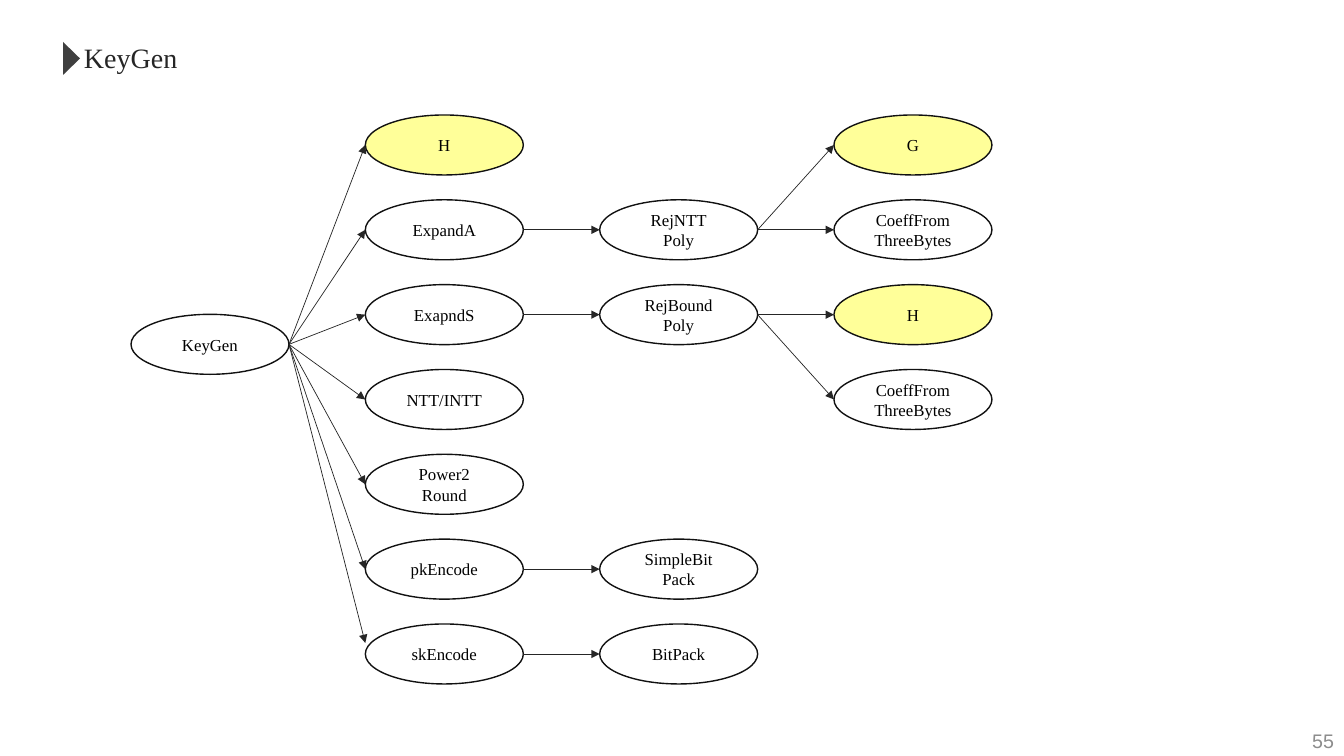
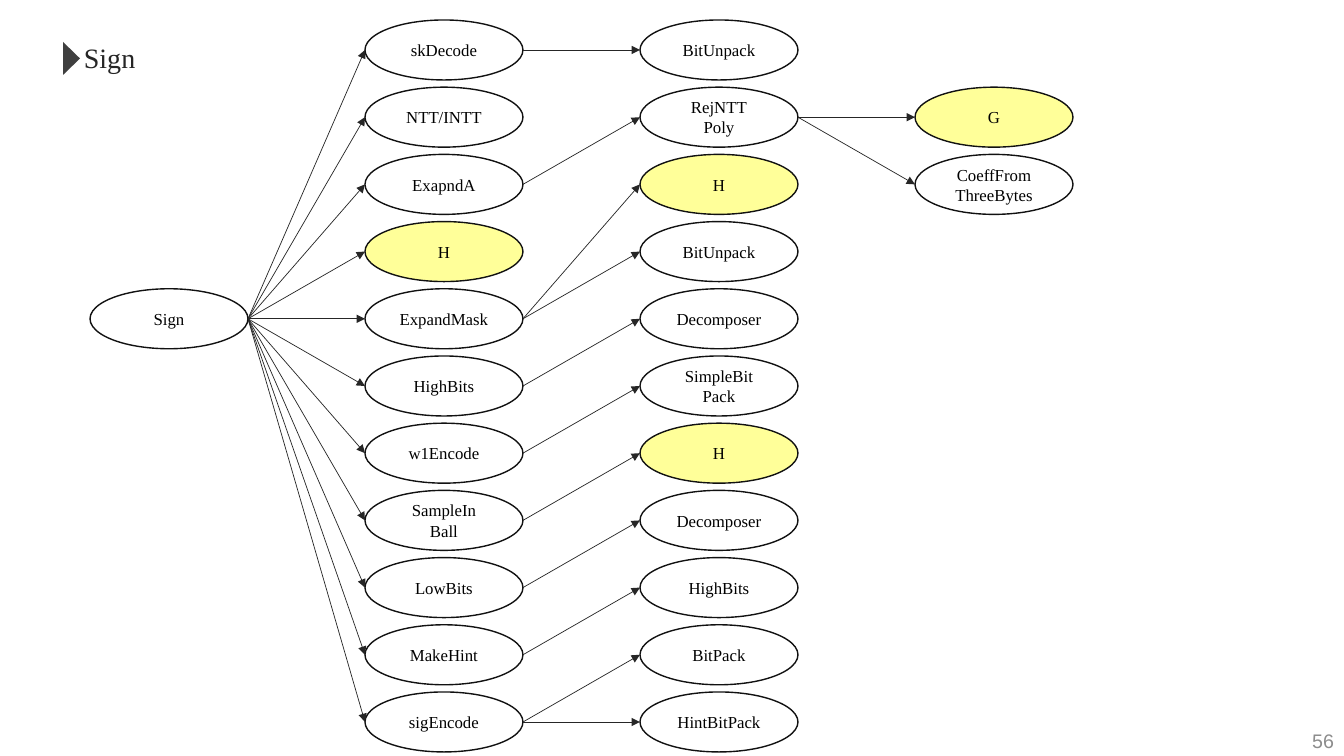
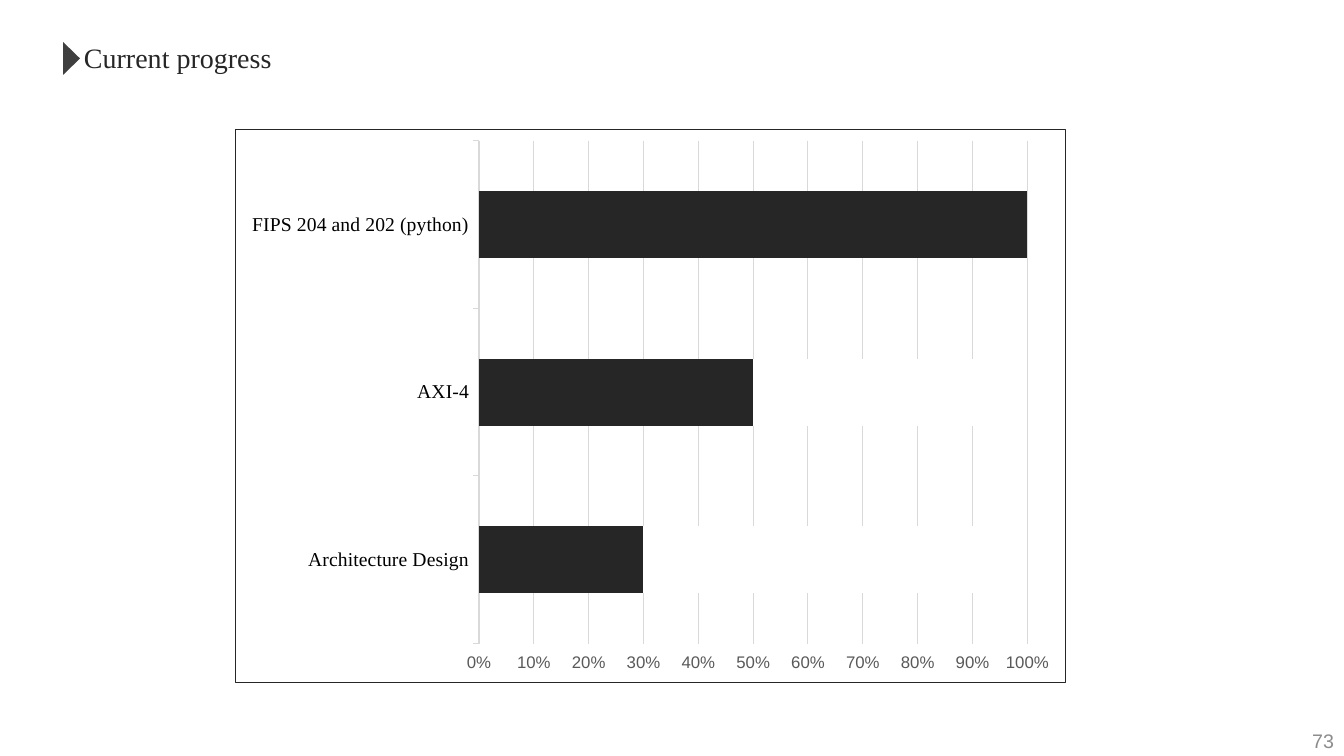
from dataclasses import dataclass

from lxml import etree
from pptx import Presentation
from pptx import util as u
from pptx.chart import data
from pptx.dml import color
from pptx.enum import chart as charts
from pptx.enum import shapes, text
from pptx.oxml import parse_xml
from pptx.oxml.ns import nsdecls, qn

SLIDE_WIDTH, SLIDE_HEIGHT = 1344, 756
EMU_PER_PX = 12192000 / SLIDE_WIDTH
NODE_WIDTH, NODE_HEIGHT = 158, 60
LAST_COLUMN = 3
ELLIPSE_LEFT, ELLIPSE_RIGHT = 2, 6
SERIF, SANS = "Times New Roman", "Arial"
INK, OUTLINE, MARKER = "262626", "111111", "3F3F3F"
BLACK, WHITE, YELLOW = "000000", "FFFFFF", "FFFF99"
GRID, AXIS_TEXT, FOOTER_TEXT = "D9D9D9", "595959", "8C8C8C"
HASH_FUNCTIONS = ("G", "H")


@dataclass
class Box:
    """A region of the slide in px."""
    left: int
    top: int
    width: int
    height: int


@dataclass
class Call:
    """A function, its row in the graph and the functions it calls."""
    label: str
    row: float
    callees: tuple = ()
    entry_rise: int = 0


KEYGEN = Call("KeyGen", 2.35, (
    Call("H", 0),
    Call("ExpandA", 1, (
        Call("RejNTT\nPoly", 1, (Call("G", 0), Call("CoeffFrom\nThreeBytes", 1))),)),
    Call("ExapndS", 2, (
        Call("RejBound\nPoly", 2, (Call("H", 2), Call("CoeffFrom\nThreeBytes", 3))),)),
    Call("NTT/INTT", 3),
    Call("Power2\nRound", 4),
    Call("pkEncode", 5, (Call("SimpleBit\nPack", 5),)),
    Call("skEncode", 6, (Call("BitPack", 6),), entry_rise=11),
))

SIGN = Call("Sign", 4, (
    Call("skDecode", 0, (Call("BitUnpack", 0),)),
    Call("NTT/INTT", 1),
    Call("ExapndA", 2, (
        Call("RejNTT\nPoly", 1, (Call("G", 1), Call("CoeffFrom\nThreeBytes", 2))),)),
    Call("H", 3),
    Call("ExpandMask", 4, (Call("H", 2), Call("BitUnpack", 3))),
    Call("HighBits", 5, (Call("Decomposer", 4),)),
    Call("w1Encode", 6, (Call("SimpleBit\nPack", 5),)),
    Call("SampleIn\nBall", 7, (Call("H", 6),)),
    Call("LowBits", 8, (Call("Decomposer", 7),)),
    Call("MakeHint", 9, (Call("HighBits", 8),)),
    Call("sigEncode", 10, (Call("BitPack", 9), Call("HintBitPack", 10))),
))

PROGRESS = {"Architecture Design": 30, "AXI-4": 50, "FIPS 204 and 202 (python)": 100}


def px(length):
    """Turn px into EMU."""
    return u.Emu(round(length * EMU_PER_PX))


def rgb(value):
    """Turn a hex string into a colour."""
    return color.RGBColor.from_string(value)


def paint(fill, value):
    """Make a fill solid in one colour."""
    fill.solid()
    fill.fore_color.rgb = rgb(value)


def style_font(font, name, size, value):
    """Set the face, size and colour of a font."""
    font.name, font.size = name, u.Pt(size)
    font.color.rgb = rgb(value)


def style_line(line, value, width):
    """Set the colour and width of a line."""
    line.color.rgb = rgb(value)
    line.width = u.Pt(width)


def write(shape, content, name, size, value, align, anchor):
    """Fill a shape with text in one style."""
    frame = shape.text_frame
    frame.text = content
    frame.vertical_anchor = anchor
    for paragraph in frame.paragraphs:
        paragraph.alignment = align
        for run in paragraph.runs:
            style_font(run.font, name, size, value)
    return frame


def add_text(slide, box, *style):
    """Add a text box and return its frame."""
    shape = slide.shapes.add_textbox(px(box.left), px(box.top), px(box.width), px(box.height))
    return write(shape, *style)


def add_preset(slide, preset, box):
    """Add a preset shape without a shadow."""
    shape = slide.shapes.add_shape(
        preset, px(box.left), px(box.top), px(box.width), px(box.height))
    shape.shadow.inherit = False
    return shape


def add_page(presentation, title, number):
    """Add a slide with its marker, title and page number."""
    slide = presentation.slides.add_slide(presentation.slide_layouts[6])
    marker = add_preset(slide, shapes.MSO_SHAPE.ISOSCELES_TRIANGLE, Box(55, 50, 33, 17))
    marker.rotation = 90
    paint(marker.fill, MARKER)
    marker.line.fill.background()
    frame = add_text(slide, Box(74, 36, 300, 44), title, SERIF, 20, INK,
                     text.PP_ALIGN.LEFT, text.MSO_ANCHOR.TOP)
    frame.word_wrap = False
    frame = add_text(slide, Box(1042, 721, 302, 40), str(number), SANS, 14, FOOTER_TEXT,
                     text.PP_ALIGN.RIGHT, text.MSO_ANCHOR.MIDDLE)
    frame.word_wrap = True
    return slide


def add_node(slide, left, top, label):
    """Add one function as an ellipse, yellow for a hash function."""
    node = add_preset(slide, shapes.MSO_SHAPE.OVAL, Box(left, top, NODE_WIDTH, NODE_HEIGHT))
    if label in HASH_FUNCTIONS:
        paint(node.fill, YELLOW)
    else:
        node.fill.background()
    style_line(node.line, OUTLINE, 1)
    frame = write(node, label, SERIF, 12, BLACK, text.PP_ALIGN.CENTER, text.MSO_ANCHOR.MIDDLE)
    frame.margin_left = frame.margin_right = 0
    return node


def add_arrow(slide, caller, callee, entry_rise):
    """Draw an arrow from the right of one ellipse to the left of another."""
    connector = slide.shapes.add_connector(
        shapes.MSO_CONNECTOR.STRAIGHT,
        caller.left + caller.width, caller.top + caller.height // 2,
        callee.left, callee.top + callee.height // 2 - px(entry_rise))
    joints = [("a:stCxn", caller, ELLIPSE_RIGHT)]
    if not entry_rise:
        joints.append(("a:endCxn", callee, ELLIPSE_LEFT))
    for tag, node, site in joints:
        etree.SubElement(connector._element.nvCxnSpPr.cNvCxnSpPr, qn(tag),
                         id=str(node.shape_id), idx=str(site))
    style_line(connector.line, INK, 0.5)
    properties = connector._element.spPr
    etree.SubElement(properties.find(qn("a:ln")), qn("a:tailEnd"), type="triangle")
    etree.SubElement(properties, qn("a:effectLst"))


def add_call_graph(slide, box, last_row, call, depth=0):
    """Draw a function and all it calls, one column for each depth."""
    column_pitch = (box.width - NODE_WIDTH) / LAST_COLUMN
    row_pitch = (box.height - NODE_HEIGHT) / last_row
    node = add_node(slide, box.left + depth * column_pitch,
                    box.top + call.row * row_pitch, call.label)
    for callee in call.callees:
        target = add_call_graph(slide, box, last_row, callee, depth + 1)
        add_arrow(slide, node, target, callee.entry_rise)
    return node


def add_progress_chart(slide, box, progress):
    """Add the bar chart of finished and remaining work."""
    chart_data = data.CategoryChartData()
    chart_data.categories = list(progress)
    chart_data.add_series("Series 1", list(progress.values()))
    chart_data.add_series("Series 2", [100 - done for done in progress.values()])
    chart_data.add_series("Series 3", [None] * len(progress))
    chart = slide.shapes.add_chart(
        charts.XL_CHART_TYPE.BAR_STACKED_100, px(box.left), px(box.top),
        px(box.width), px(box.height), chart_data).chart
    chart.has_legend = chart.has_title = False
    style_font(chart.font, SANS, 10, BLACK)

    plot = chart.plots[0]
    plot.gap_width, plot.overlap, plot.vary_by_categories = 150, 100, False
    for series, value in zip(plot.series, (INK, WHITE, INK)):
        paint(series.format.fill, value)

    categories, values = chart.category_axis, chart.value_axis
    style_font(categories.tick_labels.font, SERIF, 14, BLACK)
    style_line(categories.format.line, GRID, 0.75)
    style_font(values.tick_labels.font, SANS, 12, AXIS_TEXT)
    values.tick_labels.number_format = "0%"
    values.tick_labels.number_format_is_linked = False
    values.format.line.fill.background()
    values.has_major_gridlines = True
    style_line(values.major_gridlines.format.line, GRID, 0.75)
    for axis in (categories, values):
        axis.major_tick_mark = charts.XL_TICK_MARK.OUTSIDE

    border = parse_xml(
        f'<c:spPr {nsdecls("c", "a")}><a:noFill/><a:ln w="{u.Pt(0.75)}"><a:solidFill>'
        f'<a:srgbClr val="{INK}"/></a:solidFill></a:ln></c:spPr>')
    chart._chartSpace.find(qn("c:chart")).addnext(border)


def main():
    """Build the slides and save them."""
    presentation = Presentation()
    presentation.slide_width, presentation.slide_height = px(SLIDE_WIDTH), px(SLIDE_HEIGHT)
    slide = add_page(presentation, "KeyGen", 55)
    add_call_graph(slide, Box(131, 115, 861, 569), 6, KEYGEN)
    slide = add_page(presentation, "Sign", 56)
    add_call_graph(slide, Box(90, 20, 983, 732), 10, SIGN)
    slide = add_page(presentation, "Current progress", 73)
    add_progress_chart(slide, Box(235, 129, 831, 554), PROGRESS)
    presentation.save("out.pptx")


if __name__ == "__main__":
    main()
